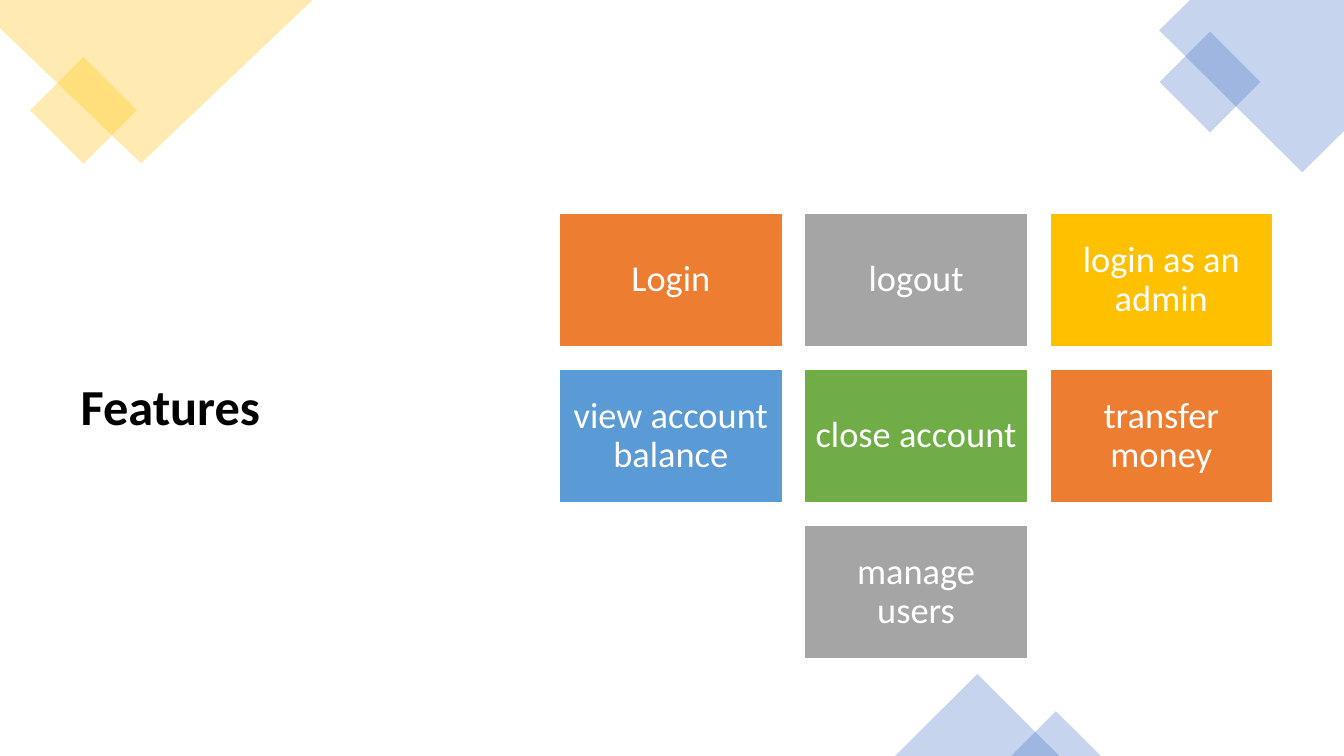
from lxml.etree import SubElement
from pptx import Presentation
from pptx.dml.color import RGBColor
from pptx.enum.shapes import MSO_SHAPE as Preset
from pptx.enum.text import MSO_ANCHOR as Anchor, MSO_AUTO_SIZE as AutoSize, PP_ALIGN as Align
from pptx.oxml.ns import qn
from pptx.util import Pt

COLOURS = {
    "black": "000000", "white": "FFFFFF", "orange": "ED7D31", "grey": "A5A5A5",
    "gold": "FFC000", "sky": "5B9BD5", "green": "70AD47", "blue": "4472C4",
}
FONT = "Calibri"
FEATURES = [
    ("Login", "orange"), ("logout", "grey"), ("login as an admin", "gold"),
    ("view account balance", "sky"), ("close account", "green"),
    ("transfer money", "orange"), ("manage users", "grey"),
]


def colour(name):
    return RGBColor.from_string(COLOURS[name])


def add_text(paragraph, text, size, colour_name, bold=False):
    paragraph.line_spacing = 0.9
    run = paragraph.add_run()
    run.text = text
    run.font.name = FONT
    run.font.size = Pt(size)
    run.font.bold = bold
    run.font.color.rgb = colour(colour_name)


def make_translucent(shape, colour_name, percent=30):
    shape.shadow.inherit = False
    shape.fill.solid()
    shape.fill.fore_color.rgb = colour(colour_name)
    shape.line.fill.background()
    fill_colour = shape.fill._xPr.find(f"{qn('a:solidFill')}/{qn('a:srgbClr')}")
    SubElement(fill_colour, qn("a:alpha")).set("val", str(percent * 1000))


def add_polygon(slide, points, colour_name):
    corners = [(Pt(x), Pt(y)) for x, y in points]
    builder = slide.shapes.build_freeform(*corners[0], scale=1.0)
    builder.add_line_segments(corners[1:], close=True)
    make_translucent(builder.convert_to_shape(), colour_name)


def add_ornament(slide, preset, left, top, width, height, colour_name, rotation=0):
    shape = slide.shapes.add_shape(preset, Pt(left), Pt(top), Pt(width), Pt(height))
    shape.rotation = rotation
    make_translucent(shape, colour_name)


def add_corner(slide, polygon, square_left, square_top, side, colour_name):
    """A large cropped diamond overlapped by a small turned square."""
    add_polygon(slide, polygon, colour_name)
    add_ornament(slide, Preset.RECTANGLE, square_left, square_top, side, side,
                 colour_name, rotation=45)


def add_peaks(slide, baseline):
    for left, width, height in [(639.4, 117.4, 58.5), (722.2, 64.1, 32)]:
        add_ornament(slide, Preset.ISOSCELES_TRIANGLE, left, baseline - height,
                     width, height, "blue")


def add_title(slide, left, top, width, height):
    title = slide.shapes.title
    title.left, title.top, title.width, title.height = map(Pt, (left, top, width, height))
    frame = title.text_frame
    frame.auto_size = AutoSize.NONE
    frame.word_wrap = True
    frame.vertical_anchor = Anchor.MIDDLE
    frame.margin_bottom = Pt(43)  # lifts the heading above the middle
    paragraph = frame.paragraphs[0]
    paragraph.alignment = Align.LEFT
    add_text(paragraph, "Features", 36, "black", bold=True)


def add_tile(slide, left, top, width, height, label, colour_name):
    tile = slide.shapes.add_shape(Preset.RECTANGLE, Pt(left), Pt(top), Pt(width), Pt(height))
    tile.shadow.inherit = False
    tile.fill.solid()
    tile.fill.fore_color.rgb = colour(colour_name)
    tile.line.color.rgb = colour("white")
    tile.line.width = Pt(1)
    frame = tile.text_frame
    frame.word_wrap = True
    frame.vertical_anchor = Anchor.MIDDLE
    frame.margin_left = frame.margin_right = Pt(7.8)
    frame.margin_top = frame.margin_bottom = Pt(7.8)
    paragraph = frame.paragraphs[0]
    paragraph.alignment = Align.CENTER
    add_text(paragraph, label, 26, colour_name="white")


def add_feature_grid(slide, left, top, width, columns=3):
    # Gaps are a tenth of a tile's width; a short last row is centred
    tile_width = width / (columns + 0.1 * (columns - 1))
    tile_height = 0.6 * tile_width
    gap = 0.1 * tile_width
    for start in range(0, len(FEATURES), columns):
        row = FEATURES[start:start + columns]
        indent = (columns - len(row)) * (tile_width + gap) / 2
        row_top = top + start // columns * (tile_height + gap)
        for column, (label, colour_name) in enumerate(row):
            tile_left = left + indent + column * (tile_width + gap)
            add_tile(slide, tile_left, row_top, tile_width, tile_height, label, colour_name)


def add_features_slide(presentation, width, height):
    slide = presentation.slides.add_slide(presentation.slide_layouts[5])
    add_title(slide, 50.4, 133.9, 311.8, 355.7)
    # Corner ornaments
    add_corner(slide, [(0, 0), (223.2, 0), (100.8, 116.6), (0, 20.2)],
               32.6, 51.8, 54, "gold")
    add_corner(slide, [(850, 0), (width, 0), (width, 93.6), (930.2, 123.1), (828, 21.6)],
               838.8, 33.1, 51, "blue")
    add_peaks(slide, height)
    # Feature tiles
    add_feature_grid(slide, 399.6, 152.2, 509.6)


def main():
    width, height = 960, 540
    presentation = Presentation()
    presentation.slide_width, presentation.slide_height = Pt(width), Pt(height)
    add_features_slide(presentation, width, height)
    presentation.save("out.pptx")


if __name__ == "__main__":
    main()
